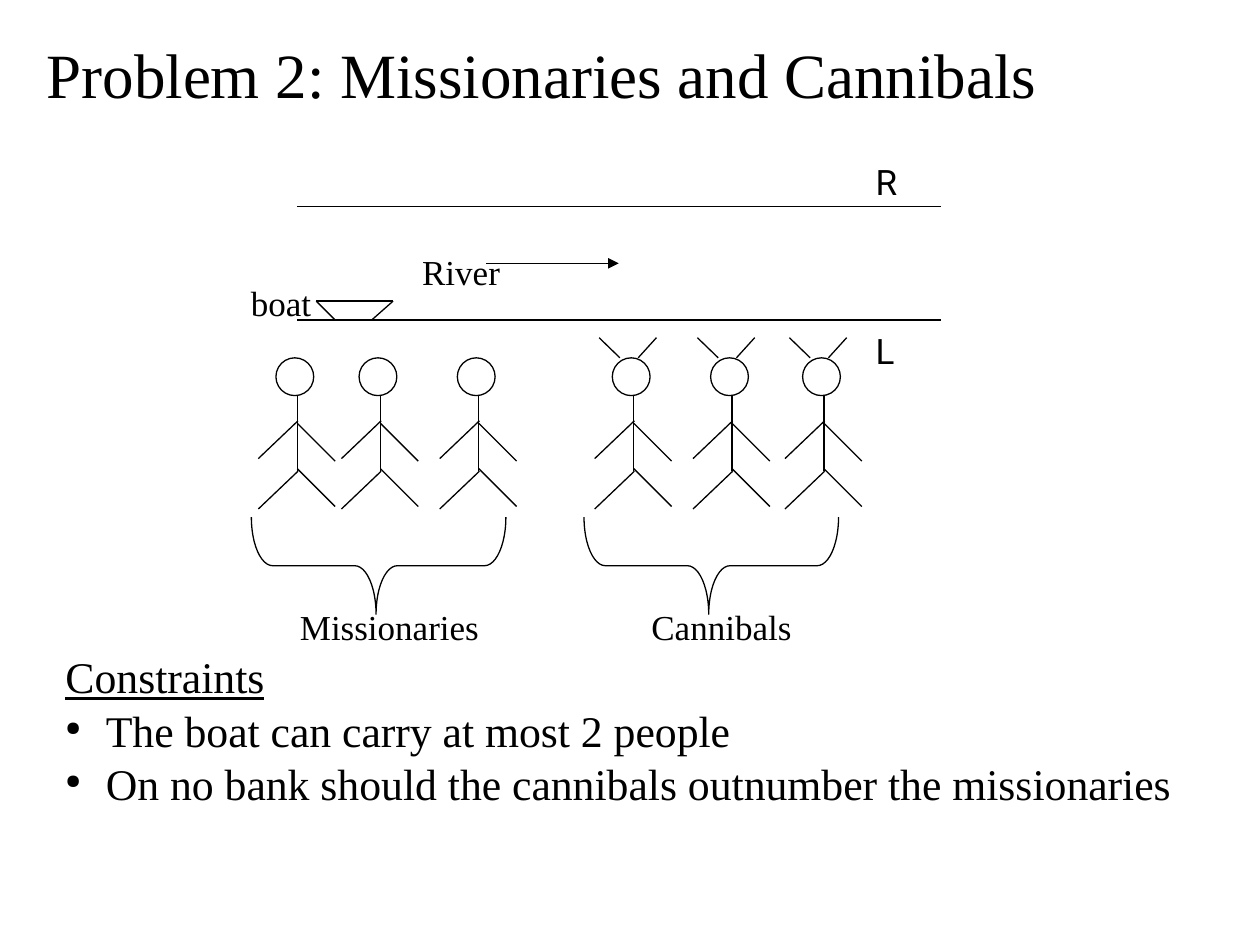
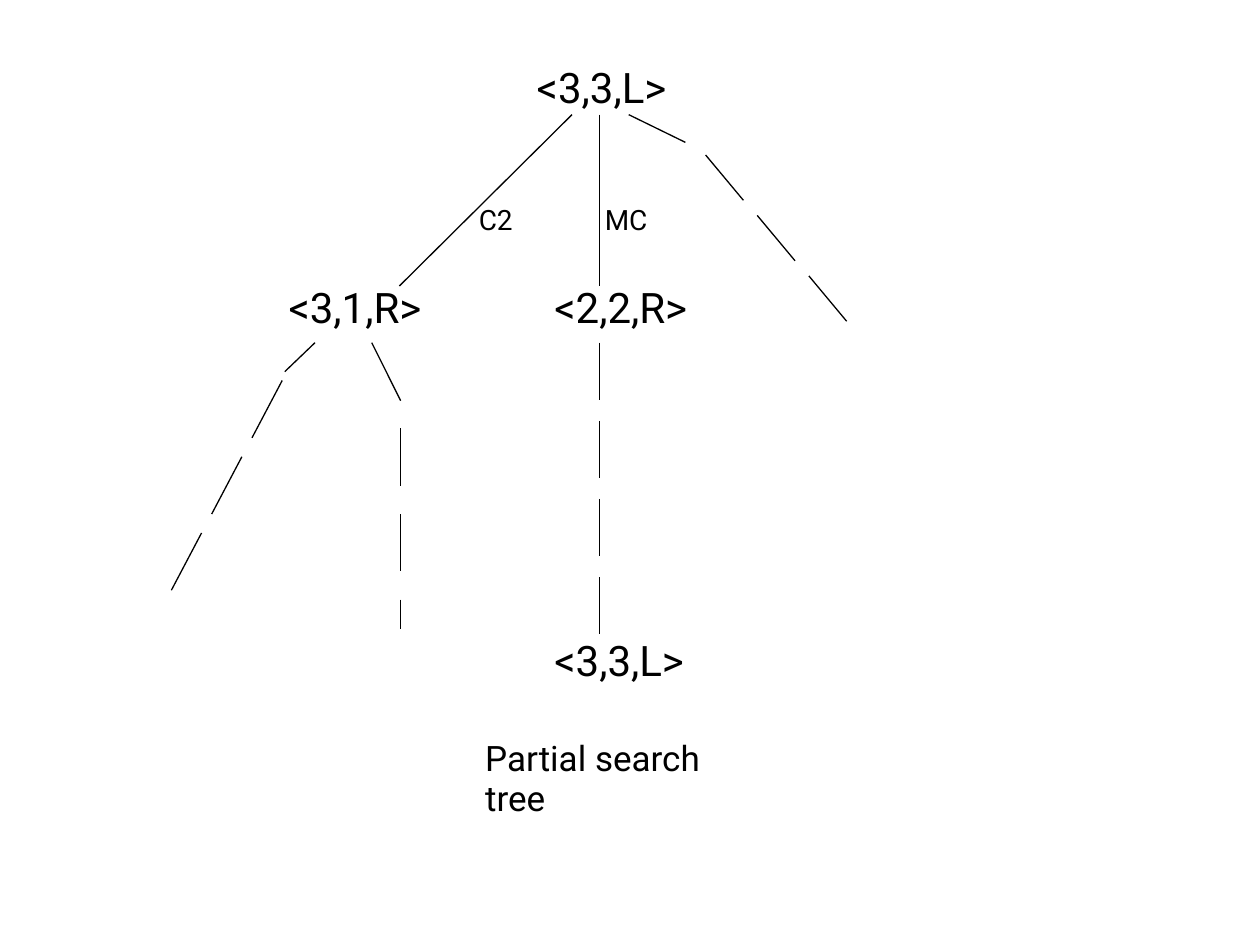
from dataclasses import dataclass

from lxml import etree
from pptx import Presentation
from pptx import util as u
from pptx.dml.color import RGBColor
from pptx.enum import shapes, text
from pptx.oxml import ns


@dataclass(frozen=True)
class Theme:
    ink = RGBColor(0, 0, 0)
    serif = "Times New Roman"
    sans = "Roboto"
    title = 36
    body = 25
    state = 24
    label = 20
    move = 16
    stroke = u.Pt(0.75)


theme = Theme()
presentation = Presentation()
presentation.slide_width, presentation.slide_height = u.Inches(10), u.Inches(7.5)
column = presentation.slide_width / 100
row = presentation.slide_height / 75


def write(shape, box, lines, font_name, size, spacing=1.02):
    left, top, width, height = box
    placement = {"left": left * column, "top": top * row,
                 "width": width * column, "height": height * row}
    for name, value in placement.items():
        setattr(shape, name, int(value))
    frame = shape.text_frame
    frame_format = {"word_wrap": True, "auto_size": text.MSO_AUTO_SIZE.NONE,
                    "vertical_anchor": text.MSO_ANCHOR.TOP,
                    "margin_left": u.Inches(0.09), "margin_right": u.Inches(0.09),
                    "margin_top": u.Inches(0.04), "margin_bottom": u.Inches(0.04)}
    for name, value in frame_format.items():
        setattr(frame, name, value)
    frame.text = lines
    for paragraph in frame.paragraphs:
        paragraph.alignment = text.PP_ALIGN.LEFT
        paragraph.line_spacing = spacing
        font = paragraph.runs[0].font
        for name, value in {"name": font_name, "size": u.Pt(size)}.items():
            setattr(font, name, value)
        font.color.rgb = theme.ink
    return frame


def draw_line(slide, x1, y1, x2, y2):
    line = slide.shapes.add_connector(
        shapes.MSO_CONNECTOR.STRAIGHT,
        int(x1 * column), int(y1 * row), int(x2 * column), int(y2 * row))
    line.line.width = theme.stroke
    line.line.color.rgb = theme.ink
    etree.SubElement(line._element.spPr, ns.qn("a:effectLst"))
    return line


puzzle = presentation.slides.add_slide(presentation.slide_layouts[5])
write(puzzle.shapes.title, (2.8, 2.3, 94.8, 7),
      "Problem 2: Missionaries and Cannibals", theme.serif, theme.title)

constraints = write(
    puzzle.shapes.add_textbox(0, 0, 0, 0), (4.3, 51.1, 93.4, 13.6),
    "Constraints\nThe boat can carry at most 2 people\n"
    "On no bank should the cannibals outnumber the missionaries",
    theme.serif, theme.body)
heading, *rules = constraints.paragraphs
heading.runs[0].font.underline = True
for paragraph in rules:
    properties = paragraph._p.get_or_add_pPr()
    properties.set("marL", str(u.Inches(0.32)))
    properties.set("indent", str(-u.Inches(0.32)))
    etree.SubElement(properties, ns.qn("a:buSzPct"), val="45000")
    etree.SubElement(properties, ns.qn("a:buChar"), char="●")

for bank_y in (16.4, 25.4):
    draw_line(puzzle, 23.6, bank_y, 74.7, bank_y)
current = draw_line(puzzle, 38.6, 20.9, 49.1, 20.9)
etree.SubElement(current.line._get_or_add_ln(), ns.qn("a:tailEnd"), type="triangle")

boat_points = [(26.6, 25.4), (25.1, 23.9), (31.2, 23.9), (29.5, 25.4)]
for start, end in zip(boat_points, boat_points[1:]):
    draw_line(puzzle, *start, *end)

missionaries = [21.9, 28.5, 36.3]
cannibals = [48.6, 56.4, 63.7]
body_lines = [(1.7, 31.4, 1.7, 37.4),
              (1.75, 37.4, -1.4, 40.4), (1.7, 37.2, 4.7, 40.2),
              (1.75, 33.4, -1.4, 36.4), (1.7, 33.6, 4.7, 36.6)]
horn_lines = [(2.05, 28.4, 3.5, 26.8), (0.6, 28.4, -1.05, 26.8)]
outlines = []
for people, lines in ((missionaries, body_lines), (cannibals, body_lines + horn_lines)):
    for x in people:
        outlines.append((shapes.MSO_SHAPE.OVAL, x, 28.4, 3, 3))
        for x1, y1, x2, y2 in lines:
            draw_line(puzzle, x + x1, y1, x + x2, y2)

for brace_x in (26.2, 52.6):
    outlines.append((shapes.MSO_SHAPE.LEFT_BRACE, brace_x, 34.8, 7.7, 20.2))
for kind, left, top, width, height in outlines:
    shape = puzzle.shapes.add_shape(kind, int(left * column), int(top * row),
                                    int(width * column), int(height * row))
    shape.shadow.inherit = False
    shape.fill.background()
    shape.line.width = theme.stroke
    shape.line.color.rgb = theme.ink
    if kind == shapes.MSO_SHAPE.LEFT_BRACE:
        shape.rotation = 270
        shape.adjustments[0] = 0.22
        shape.adjustments[1] = 0.49

puzzle_labels = [
    ("River", (32.6, 19.4, 8.2, 4.3), theme.serif, 1.02),
    ("R", (68.6, 12.3, 4.5, 4.3), theme.sans, 1.02),
    ("L", (68.6, 25.7, 4.5, 4.3), theme.sans, 1.02),
    ("boat", (19, 22.2, 8.2, 4), theme.serif, 0.95),
    ("Missionaries", (22.9, 47.9, 16.3, 4), theme.serif, 0.95),
    ("Cannibals", (50.8, 47.9, 16.3, 4), theme.serif, 0.95),
]
for label, box, font_name, spacing in puzzle_labels:
    write(puzzle.shapes.add_textbox(0, 0, 0, 0), box, label,
          font_name, theme.label, spacing)

tree = presentation.slides.add_slide(presentation.slide_layouts[6])
for state, x, y in (("<3,3,L>", 41.7, 4.4), ("<3,1,R>", 22, 21.9),
                    ("<2,2,R>", 43.1, 21.9), ("<3,3,L>", 43.1, 49.9)):
    write(tree.shapes.add_textbox(0, 0, 0, 0), (x, y, 13.6, 5),
          state, theme.sans, theme.state)
for move, x in (("C2", 37.1), ("MC", 47.1)):
    write(tree.shapes.add_textbox(0, 0, 0, 0), (x, 15.6, 6.8, 3.6),
          move, theme.sans, theme.move)
write(tree.shapes.add_textbox(0, 0, 0, 0), (37.6, 58.3, 21.9, 4),
      "Partial search tree", theme.sans, theme.label, 0.95)

branches = [(45.4, 9.1, 31.7, 22.7), (47.6, 9.1, 47.6, 22.7),
            (29.5, 27.2, 31.8, 31.8), (31.8, 47.6, 31.8, 49.9),
            (25, 27.2, 22.6, 29.5), (49.9, 9.1, 54.4, 11.3)]
for branch in branches:
    draw_line(tree, *branch)

dashed_paths = [
    (4, (47.6, 27.2), (0, 6.2), (0, 4.55)),
    (2, (31.8, 34), (0, 6.8), (0, 4.55)),
    (3, (22.4, 30.2), (-3.2, 6.05), (-2.4, 4.55)),
    (3, (56, 12.3), (4.1, 4.8), (3, 3.6)),
]
for count, (x, y), (step_x, step_y), (dash_x, dash_y) in dashed_paths:
    for index in range(count):
        dash_left, dash_top = x + index * step_x, y + index * step_y
        draw_line(tree, dash_left, dash_top, dash_left + dash_x, dash_top + dash_y)

presentation.save("out.pptx")
